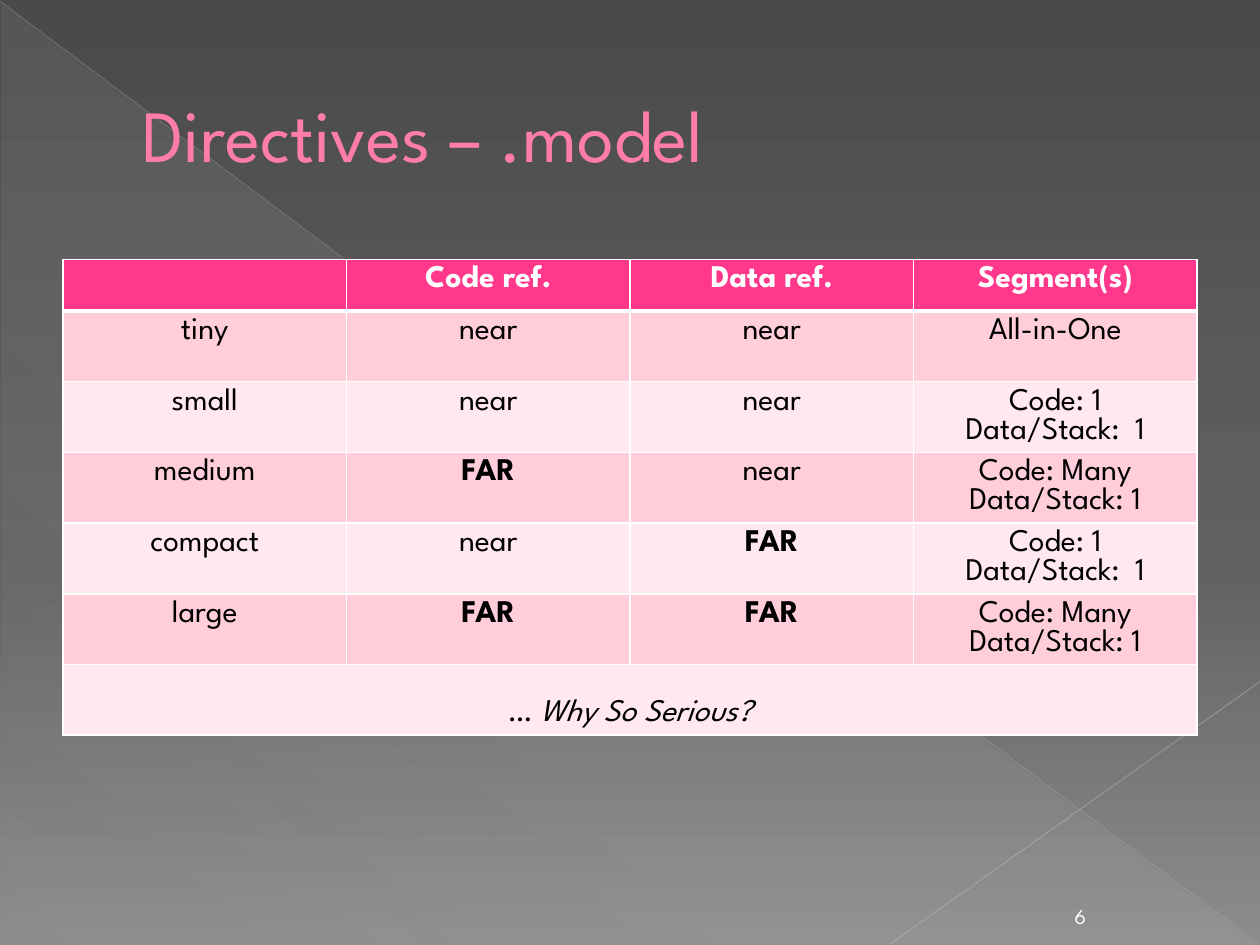
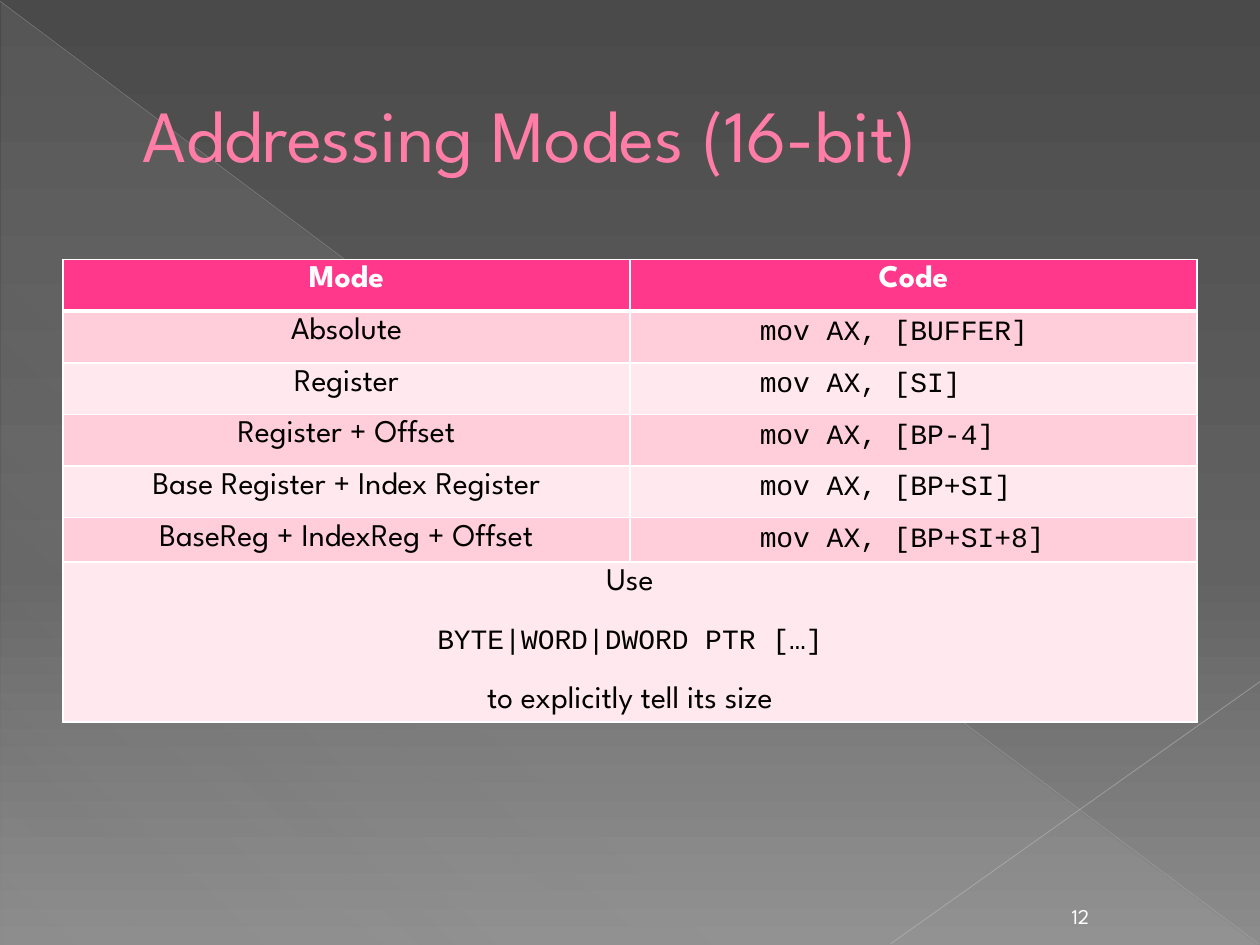
from lxml import etree
from pptx import Presentation
from pptx.dml.color import RGBColor
from pptx.enum.shapes import MSO_CONNECTOR, MSO_SHAPE
from pptx.enum.text import MSO_ANCHOR as ANCHOR, PP_ALIGN as ALIGN
from pptx.oxml.ns import qn
from pptx.util import Inches, Pt

rgb = RGBColor.from_string
FONT, MONO = "League Spartan", "Courier New"
WHITE, BLACK, PINK = "FFFFFF", "000000", "FF7DA7"
HEADER, BANDS = "FF388C", ("FFE8EE", "FFCEDA")
LINES = [
    ((0, 0.01), (9.99, 7.49), "BFBFBF", 0.39, 35),
    ((10, 5.41), (7.07, 7.49), "C6C6C6", 0.47, 45),
]
SLIDES = [
    ("Directives – .model", "6", [0.41] + [0.56] * 6, [
        ("", "Code ref.", "Data ref.", "Segment(s)"),
        ("tiny", "near", "near", "All-in-One"),
        ("small", "near", "near", "Code: 1\nData/Stack:  1"),
        ("medium", "FAR", "near", "Code: Many\nData/Stack: 1"),
        ("compact", "near", "FAR", "Code: 1\nData/Stack:  1"),
        ("large", "FAR", "FAR", "Code: Many\nData/Stack: 1"),
        ("… ",),
    ]),
    ("Addressing Modes (16-bit)", "12", [0.41] * 5 + [0.35, 1.27], [
        ("Mode", "Code"),
        ("Absolute", "mov AX, [BUFFER]"),
        ("Register", "mov AX, [SI]"),
        ("Register + Offset", "mov AX, [BP-4]"),
        ("Base Register + Index Register", "mov AX, [BP+SI]"),
        ("BaseReg + IndexReg + Offset", "mov AX, [BP+SI+8]"),
        ("Use\nBYTE|WORD|DWORD PTR […]\nto explicitly tell its size",),
    ]),
]


def add_solid(parent, color, alpha=100):
    clr = etree.SubElement(etree.SubElement(parent, qn("a:solidFill")), qn("a:srgbClr"), val=color)
    if alpha < 100:
        etree.SubElement(clr, qn("a:alpha"), val=str(alpha * 1000))


def set_gradient(fill, owner, stops, angle):
    fill.gradient()
    grad = owner.find(".//" + qn("a:gradFill"))
    grad.clear()
    gs_list = etree.SubElement(grad, qn("a:gsLst"))
    for pos, color, alpha in stops:
        gs = etree.SubElement(gs_list, qn("a:gs"), pos=str(pos * 1000))
        clr = etree.SubElement(gs, qn("a:srgbClr"), val=color)
        etree.SubElement(clr, qn("a:alpha"), val=str(alpha * 1000))
    etree.SubElement(grad, qn("a:lin"), ang=str(angle * 60000), scaled="0")


prs = Presentation()
prs.slide_width, prs.slide_height = Inches(10), Inches(7.5)
master = prs.slide_master
set_gradient(master.background.fill, master._element.cSld,
             [(0, "4A4A4A", 100), (60, "626262", 100), (100, "8C8C8C", 100)], 90)

for title_text, number, heights, rows in SLIDES:
    slide = prs.slides.add_slide(prs.slide_layouts[5])
    title = slide.shapes.title

    sp = slide.shapes.add_shape(MSO_SHAPE.RIGHT_TRIANGLE, Inches(0.01), Inches(0.02),
                                Inches(9.98), Inches(7.48))
    sp.shadow.inherit = False
    sp.line.fill.background()
    set_gradient(sp.fill, sp._element.spPr,
                 [(0, "D2D2D2", 10), (70, "D2D2D2", 8), (100, "D2D2D2", 1)], 133)
    title._element.addprevious(sp._element)

    for start, end, color, width, alpha in LINES:
        line = slide.shapes.add_connector(MSO_CONNECTOR.STRAIGHT,
                                          *[Inches(v) for v in start + end])
        line.line.width = Pt(width)
        add_solid(line.line._get_or_add_ln(), color, alpha)
        etree.SubElement(line._element.spPr, qn("a:effectLst"))
        title._element.addprevious(line._element)

    title.left, title.top = Inches(0.5), Inches(0.29)
    title.width, title.height = Inches(9), Inches(1.53)
    tf = title.text_frame
    tf.text = title_text
    tf.vertical_anchor = ANCHOR.MIDDLE
    p = tf.paragraphs[0]
    p.alignment = ALIGN.LEFT
    p._p.get_or_add_pPr().set("marL", str(Inches(0.53)))
    r = p.runs[0]
    r.font.name, r.font.size = FONT, Pt(42)
    r.font.color.rgb = rgb(PINK)
    outline = etree.Element(qn("a:ln"), w=str(Pt(0.5)))
    add_solid(outline, "B12761")
    r.font._element.insert(0, outline)

    cols = len(rows[0])
    table = slide.shapes.add_table(len(rows), cols, Inches(0.5), Inches(2.06),
                                   Inches(9), Inches(sum(heights))).table
    table.horz_banding = False
    for col in table.columns:
        col.width = Inches(9 / cols)
    for i, (height, texts) in enumerate(zip(heights, rows)):
        table.rows[i].height = Inches(height)
        for j in range(cols):
            cell = table.cell(i, j)
            cell.fill.solid()
            cell.fill.fore_color.rgb = rgb(HEADER if i == 0 else BANDS[i % 2])
            edges = {"L": 1, "R": 1, "T": 3 if i == 1 else 1, "B": 3 if i == 0 else 1}
            for k, (side, width) in enumerate(edges.items()):
                ln = etree.Element(qn("a:ln" + side), w=str(Pt(width)))
                add_solid(ln, WHITE)
                cell._tc.get_or_add_tcPr().insert(k, ln)
        for j, text in enumerate(texts):
            cell = table.cell(i, j)
            cell.text = text
            if text.startswith("mov"):
                cell.margin_left = Inches(1.03)
            if text == "… ":
                cell.vertical_anchor = ANCHOR.BOTTOM
                r = cell.text_frame.paragraphs[0].add_run()
                r.text = "Why So Serious?"
                r.font.italic = True
            for k, p in enumerate(cell.text_frame.paragraphs):
                p.alignment = ALIGN.LEFT if text.startswith("mov") else ALIGN.CENTER
                if len(texts) == 1 and k:
                    p.space_before = Pt(16.5)
                for r in p.runs:
                    mono = r.text.startswith(("mov", "BYTE"))
                    r.font.name = MONO if mono else FONT
                    r.font.size = Pt(16 if mono else 18)
                    r.font.bold = i == 0 or text == "FAR"
                    r.font.color.rgb = rgb(BLACK if i else WHITE)
    table.cell(len(rows) - 1, 0).merge(table.cell(len(rows) - 1, cols - 1))

    box = slide.shapes.add_textbox(Inches(8.3), Inches(7.09), Inches(0.55), Inches(0.33))
    tf = box.text_frame
    tf.word_wrap = True
    tf.vertical_anchor = ANCHOR.BOTTOM
    tf.text = number
    p = tf.paragraphs[0]
    p.alignment = ALIGN.CENTER
    r = p.runs[0]
    r.font.name, r.font.size = FONT, Pt(12)
    r.font.color.rgb = rgb(WHITE)

prs.save("out.pptx")
